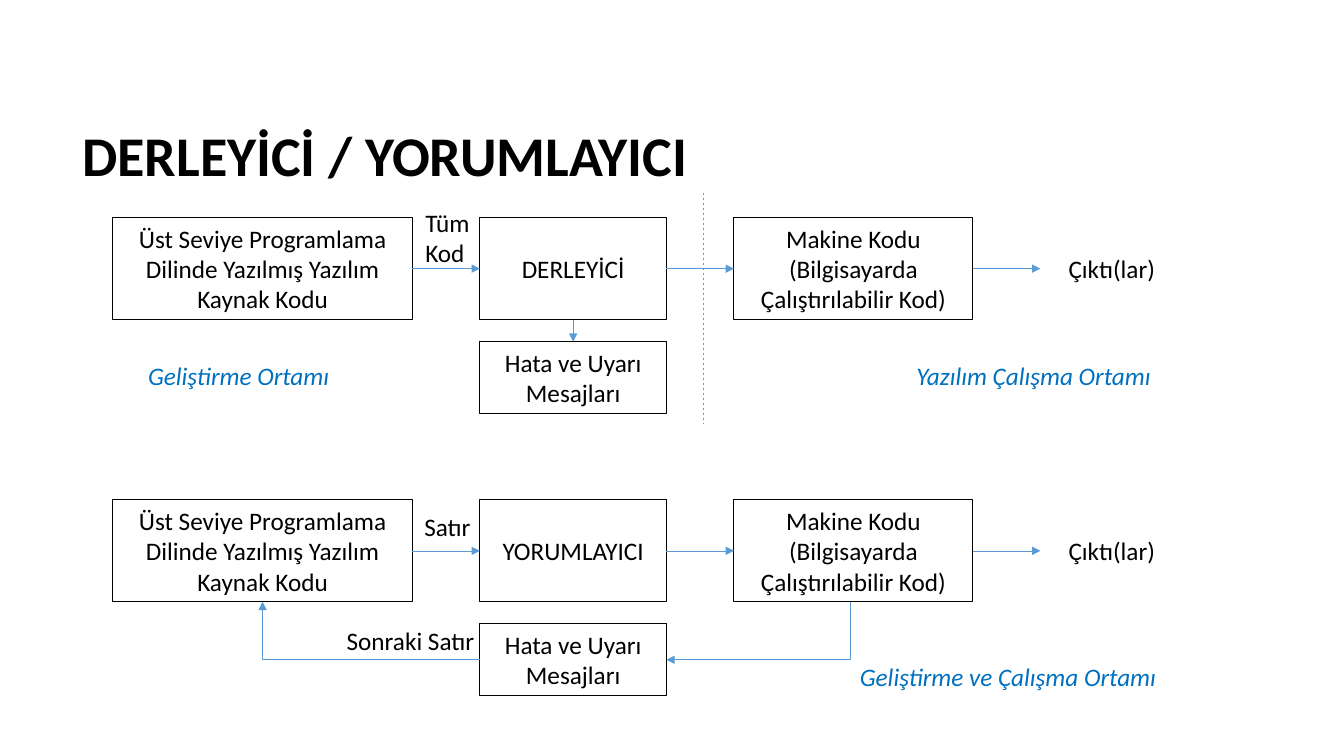
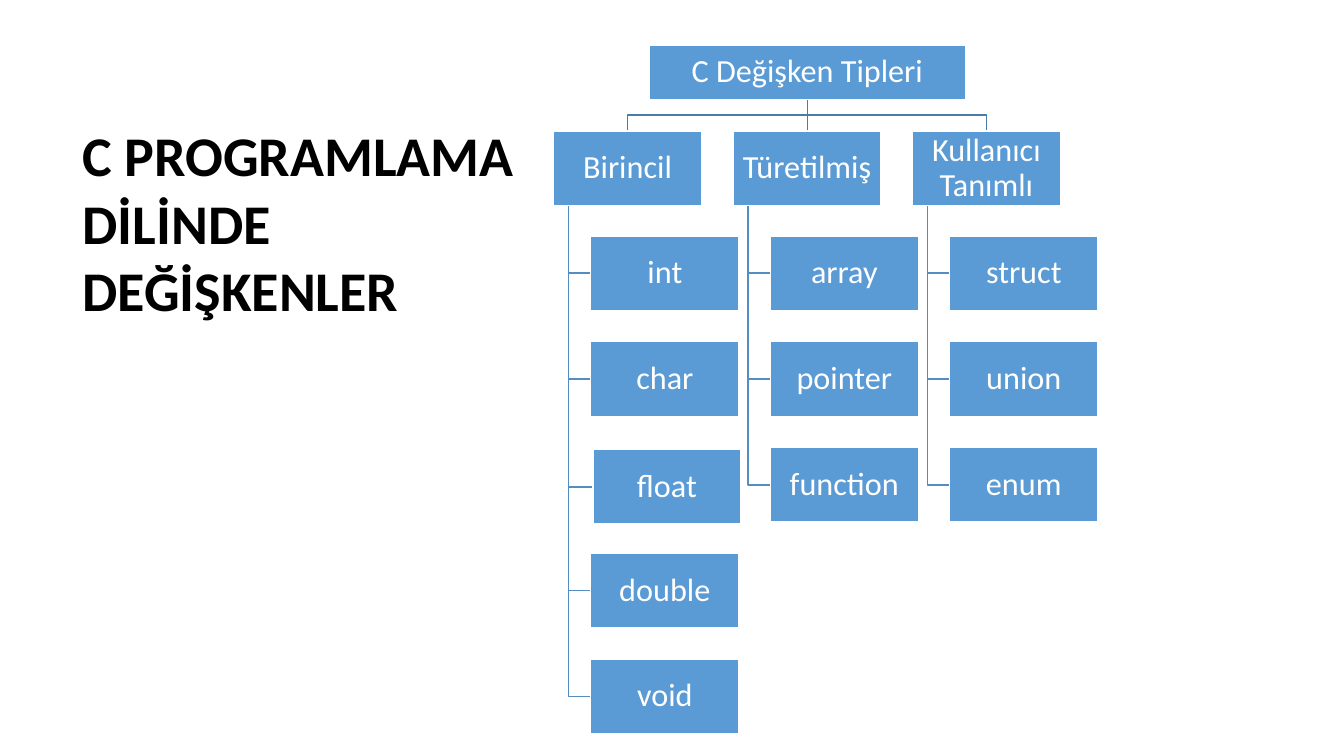
from dataclasses import dataclass

from lxml.etree import SubElement
from pptx import Presentation
from pptx.dml.color import RGBColor
from pptx.enum.dml import MSO_LINE
from pptx.enum.shapes import MSO_CONNECTOR, MSO_SHAPE
from pptx.enum.text import MSO_ANCHOR, MSO_AUTO_SIZE, PP_ALIGN
from pptx.oxml.ns import qn
from pptx.util import Inches, Pt

# Shared colours and text styles
BLACK = RGBColor(0x00, 0x00, 0x00)
WHITE = RGBColor(0xFF, 0xFF, 0xFF)
BLUE = RGBColor(0x5B, 0x9B, 0xD5)
NOTE_BLUE = RGBColor(0x00, 0x70, 0xC0)
BUS_BLUE = RGBColor(0x49, 0x7C, 0xAB)
BRANCH_BLUE = RGBColor(0x53, 0x8D, 0xC1)

TITLE = {"size": Pt(40), "bold": True, "color": BLACK}
BODY = {"size": Pt(18), "color": BLACK}
NOTE = {"size": Pt(18), "italic": True, "color": NOTE_BLUE}
NODE = {"size": Pt(23), "color": WHITE}


@dataclass(frozen=True)
class Box:
    x: float
    y: float
    w: float
    h: float

    @property
    def right(self) -> float:
        return self.x + self.w

    @property
    def bottom(self) -> float:
        return self.y + self.h

    @property
    def cx(self) -> float:
        return self.x + self.w / 2

    @property
    def cy(self) -> float:
        return self.y + self.h / 2

    def emu(self) -> list:
        return [Inches(v) for v in (self.x, self.y, self.w, self.h)]


@dataclass(frozen=True)
class Label:
    text: str
    box: Box
    style: dict
    wrap: bool = False


@dataclass(frozen=True)
class Flow:
    tool: str
    y: float


@dataclass(frozen=True)
class Leaf:
    name: str
    dx: float = 0
    dy: float = 0


@dataclass(frozen=True)
class Branch:
    name: str
    leaves: tuple


# Text
def write(tf, text: str, style: dict):
    p = tf.paragraphs[0]
    r = p.add_run()
    r.text = text
    r.font.name = "Calibri"
    for key, value in style.items():
        if key == "color":
            r.font.color.rgb = value
        else:
            setattr(r.font, key, value)
    return p


def add_label(s, label: Label) -> None:
    tf = s.shapes.add_textbox(*label.box.emu()).text_frame
    tf.word_wrap = label.wrap
    tf.auto_size = MSO_AUTO_SIZE.SHAPE_TO_FIT_TEXT
    write(tf, label.text, label.style)


# Boxes
def add_box(s, box: Box, text: str, style: dict, line: RGBColor,
            weight: float, fill: RGBColor | None = None):
    sp = s.shapes.add_shape(MSO_SHAPE.RECTANGLE, *box.emu())
    sp.shadow.inherit = False
    if fill is None:
        sp.fill.background()
    else:
        sp.fill.solid()
        sp.fill.fore_color.rgb = fill
    sp.line.color.rgb = line
    sp.line.width = Pt(weight)
    tf = sp.text_frame
    tf.word_wrap = True
    tf.vertical_anchor = MSO_ANCHOR.MIDDLE
    p = write(tf, text, style)
    p.alignment = PP_ALIGN.CENTER
    return tf, p


def add_node(s, box: Box, text: str) -> None:
    tf, p = add_box(s, box, text, NODE, WHITE, 1, BLUE)
    for side in ("left", "top", "right", "bottom"):
        setattr(tf, f"margin_{side}", Inches(0.02))
    p.line_spacing = 0.9


# Lines
def add_line(s, start: tuple, end: tuple, color: RGBColor = BLUE,
             weight: float = 0.5, kind=MSO_CONNECTOR.STRAIGHT):
    c = s.shapes.add_connector(kind, *[Inches(v) for v in start + end])
    c.line.color.rgb = color
    c.line.width = Pt(weight)
    SubElement(c._element.spPr, qn("a:effectLst"))
    return c


def add_arrow(s, start: tuple, end: tuple, kind=MSO_CONNECTOR.STRAIGHT):
    c = add_line(s, start, end, kind=kind)
    SubElement(c.line._get_or_add_ln(), qn("a:tailEnd"), type="triangle")
    return c


def add_elbow(s, start: tuple, end: tuple, down_first: bool) -> None:
    c = add_arrow(s, start, end, MSO_CONNECTOR.ELBOW)
    geom = c._element.spPr.find(qn("a:prstGeom"))
    if down_first:
        guides = geom.find(qn("a:avLst"))
        if guides is None:
            guides = SubElement(geom, qn("a:avLst"))
        SubElement(guides, qn("a:gd"), name="adj1", fmla="val 0")
    else:
        geom.set("prst", "bentConnector2")


def add_path(s, points: list, color: RGBColor) -> None:
    pts = [(Inches(x), Inches(y)) for x, y in points]
    fb = s.shapes.build_freeform(*pts[0])
    fb.add_line_segments(pts[1:], close=False)
    sp = fb.convert_to_shape()
    sp.shadow.inherit = False
    sp.fill.background()
    sp.line.color.rgb = color
    sp.line.width = Pt(1)


# Slide 1: compiler and interpreter flows
FLOWS = (Flow("DERLEYİCİ", 2.16), Flow("YORUMLAYICI", 4.96))
FLOW_LABELS = (
    Label("DERLEYİCİ / YORUMLAYICI", Box(0.72, 1.15, 6.27, 0.77), TITLE),
    Label("Tüm Kod", Box(4.12, 2.01, 0.69, 0.71), BODY, True),
    Label("Satır", Box(4.11, 5.02, 0.74, 0.4), BODY),
    Label("Sonraki Satır", Box(3.34, 6.15, 1.54, 0.4), BODY),
    Label("Geliştirme Ortamı", Box(1.37, 3.53, 2.14, 0.4), NOTE),
    Label("Yazılım Çalışma Ortamı", Box(8.99, 3.53, 2.61, 0.4), NOTE),
    Label("Geliştirme ve Çalışma Ortamı", Box(8.43, 6.51, 3.23, 0.4), NOTE),
)


def add_flow(s, flow: Flow) -> tuple:
    source = Box(1.12, flow.y, 2.97, 1.01)
    tool = Box(4.76, flow.y, 1.85, 1.01)
    machine = Box(7.28, flow.y, 2.37, 1.01)
    errors = Box(4.76, flow.y + 1.23, 1.85, 0.71)
    for box, text in (
        (source, "Üst Seviye Programlama Dilinde Yazılmış Yazılım Kaynak Kodu"),
        (tool, flow.tool),
        (machine, "Makine Kodu (Bilgisayarda Çalıştırılabilir Kod)"),
        (errors, "Hata ve Uyarı Mesajları"),
    ):
        add_box(s, box, text, BODY, BLACK, 0.75)
    for box in (source, tool, machine):
        add_arrow(s, (box.right, box.cy), (box.right + 0.67, box.cy))
    add_label(s, Label("Çıktı(lar)", Box(10.5, flow.y + 0.3, 1.07, 0.4), BODY))
    return source, tool, machine, errors


def build_flows(s) -> None:
    compiler, interpreter = [add_flow(s, flow) for flow in FLOWS]
    _, tool, _, errors = compiler
    add_arrow(s, (tool.cx, tool.bottom), (errors.cx, errors.y))
    source, _, machine, errors = interpreter
    add_elbow(s, (8.43, machine.bottom), (errors.right, errors.cy), True)
    add_elbow(s, (errors.x, errors.cy), (source.cx, source.bottom), False)
    divider = add_line(s, (6.98, 1.91), (6.98, 4.21))
    divider.line.dash_style = MSO_LINE.DASH
    for label in FLOW_LABELS:
        add_label(s, label)


# Slide 2: tree of variable types
NODE_W, NODE_H = 1.47, 0.74
ROOT = Box(6.44, 0.45, 3.14, 0.54)
BRANCHES = (
    Branch("Birincil", (Leaf("int"), Leaf("char"), Leaf("float", 0.02, 0.02),
                        Leaf("double"), Leaf("void"))),
    Branch("Türetilmiş", (Leaf("array"), Leaf("pointer"), Leaf("function"))),
    Branch("Kullanıcı Tanımlı", (Leaf("struct"), Leaf("union"), Leaf("enum"))),
)


def build_tree(s) -> None:
    add_label(s, Label("C PROGRAMLAMA DİLİNDE DEĞİŞKENLER",
                       Box(0.72, 1.15, 4.68, 2.12), TITLE, True))
    nodes = [(ROOT, "C Değişken Tipleri")]
    for i, branch in enumerate(BRANCHES):
        head = Box(5.49 + 1.78 * i, 1.3, NODE_W, NODE_H)
        nodes.append((head, branch.name))
        if i == 1:
            add_line(s, (ROOT.cx, ROOT.bottom), (ROOT.cx, head.y), BUS_BLUE, 1)
        else:
            add_path(s, [(ROOT.cx, ROOT.bottom), (ROOT.cx, 1.14),
                         (head.cx, 1.14), (head.cx, head.y)], BUS_BLUE)
        spine = head.x + 0.15
        for j, leaf in enumerate(branch.leaves):
            box = Box(head.x + 0.37 + leaf.dx, 2.34 + 1.05 * j + leaf.dy,
                      NODE_W, NODE_H)
            nodes.append((box, leaf.name))
            add_path(s, [(spine, head.bottom), (spine, box.cy),
                         (box.x, box.cy)], BRANCH_BLUE)
    for box, text in nodes:
        add_node(s, box, text)


def main() -> None:
    prs = Presentation()
    prs.slide_width, prs.slide_height = Inches(13.33), Inches(7.5)
    for build in (build_flows, build_tree):
        build(prs.slides.add_slide(prs.slide_layouts[6]))
    prs.save("out.pptx")


if __name__ == "__main__":
    main()
